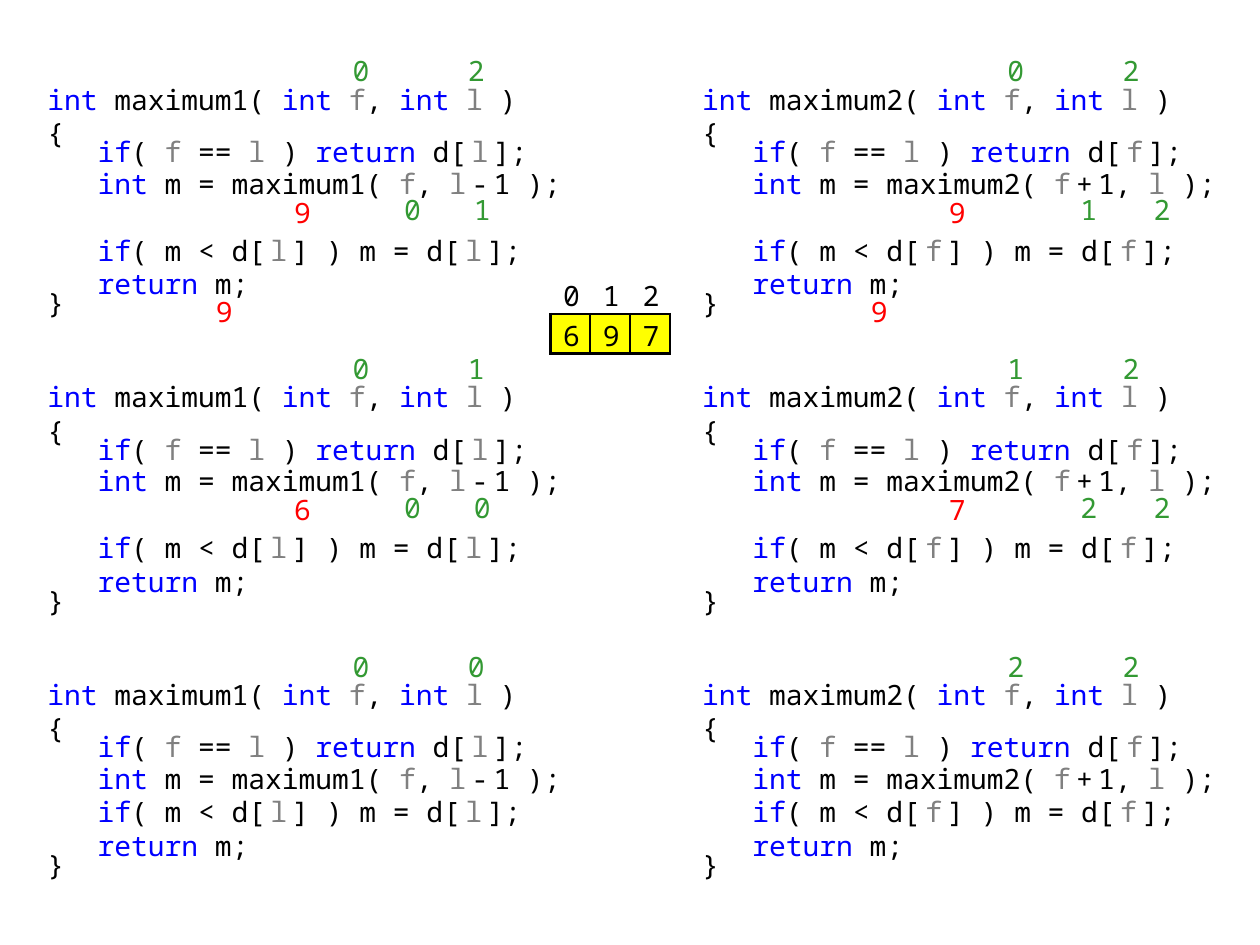
"""Build a slide tracing two recursive maximum functions over a small array."""
from typing import NamedTuple

from lxml import etree
from pptx import Presentation
from pptx import util as u
from pptx.dml.color import RGBColor
from pptx.enum import text
from pptx.oxml.ns import qn

BLACK = RGBColor(0x00, 0x00, 0x00)
BLUE = RGBColor(0x00, 0x00, 0xFF)
GRAY = RGBColor(0x80, 0x80, 0x80)
GREEN = RGBColor(0x33, 0x99, 0x33)
RED = RGBColor(0xFF, 0x00, 0x00)
YELLOW = RGBColor(0xFF, 0xFF, 0x00)
FONT = "Noto Sans Mono"
SIZE = u.Pt(16)
UNIT = 0.4
COLUMN_STEP, ROW_STEP = 33, 15


class Run(NamedTuple):
    """A coloured piece of code, optionally with wide letter spacing."""
    text: str
    color: RGBColor = BLACK
    wide: bool = False


class Spot(NamedTuple):
    """A place for a traced value, in grid units from its block."""
    col: int
    row: int
    width: int
    left: float
    right: float
    bottom: float
    color: RGBColor


class Function(NamedTuple):
    """One recursive function with its index, its call and its value spots."""
    name: str
    index: str
    arguments: list[Run]
    spots: list[Spot]


class Call(NamedTuple):
    """One level of recursion: its traced values and its height in rows."""
    values: str
    height: int


FIRST = Spot(15, -1, 3, 0.08, 0.1, 0.08, GREEN)
LAST = Spot(21, -1, 3, 0.02, 0.1, 0.08, GREEN)
RESULT = Spot(12, 6, 3, 0.1, 0.1, 0.04, RED)
ANSWER = Spot(8, 11, 3, 0.1, 0.08, 0.04, RED)

FUNCTIONS = [
    Function("maximum1", "l",
             [Run("f", GRAY), Run(", "), Run("l", GRAY, True), Run("-", BLACK, True), Run("1 );")],
             [FIRST, LAST, Spot(18, 6, 2, 0.1, 0.1, 0.08, GREEN),
              Spot(21, 6, 3, 0.1, 0.08, 0.08, GREEN), RESULT, ANSWER]),
    Function("maximum2", "f",
             [Run("f", GRAY, True), Run("+", BLACK, True), Run("1, "), Run("l", GRAY), Run(" );")],
             [FIRST, LAST, Spot(19, 6, 2, 0.1, 0.06, 0.08, GREEN),
              Spot(22, 6, 3, 0.1, 0, 0.08, GREEN), RESULT, ANSWER]),
]
CALLS = [
    [Call("020199", 12), Call("01006", 12), Call("00", 11)],
    [Call("021299", 12), Call("12227", 12), Call("22", 11)],
]
ARRAY = ["012", "697"]


def across(col: float) -> int:
    """Return the horizontal position of a grid column."""
    return u.Cm((col + 0.75) * UNIT)


def down(row: float) -> int:
    """Return the vertical position of a grid row."""
    return u.Cm((row + 0.82) * UNIT)


def span(units: float) -> int:
    """Return the length of a number of grid units."""
    return u.Cm(units * UNIT)


def add_run(paragraph, piece: Run) -> None:
    """Append one formatted run to a paragraph."""
    run = paragraph.add_run()
    run.text = piece.text
    run.font.name, run.font.size = FONT, SIZE
    run.font.color.rgb = piece.color
    if piece.wide:
        run.font._element.set("spc", "300")


def set_insets(frame, left: float, top: float, right: float, bottom: float) -> None:
    """Set the margins of a text frame or table cell in inches."""
    frame.margin_left, frame.margin_top = u.Inches(left), u.Inches(top)
    frame.margin_right, frame.margin_bottom = u.Inches(right), u.Inches(bottom)


def code_lines(function: Function, deepest: bool) -> list[list[Run]]:
    """Return the lines of code of a function as runs."""
    indent = Run("   ")
    element = [Run("[", BLACK, True), Run(function.index, GRAY, True)]
    lines = [
        [Run("int ", BLUE), Run(f"{function.name}( "), Run("int ", BLUE), Run("f", GRAY),
         Run(", "), Run("int ", BLUE), Run("l", GRAY), Run(" )")],
        [Run("{")],
        [indent, Run("if", BLUE), Run("( "), Run("f", GRAY), Run(" == "), Run("l", GRAY),
         Run(" ) "), Run("return", BLUE), Run(" d"), *element, Run("];")],
        [indent, Run("int", BLUE), Run(f" m = {function.name}( "), *function.arguments],
        [],
        [indent, Run("if", BLUE), Run("( m < d"), *element, Run("] ) m = d"), *element, Run("];")],
        [indent, Run("return", BLUE), Run(" m;")],
        [Run("}")],
    ]
    return [line for line in lines if line or not deepest]


def add_code(slide, function: Function, col: int, row: int, call: Call, deepest: bool) -> None:
    """Add the code of one call in a body placeholder."""
    slide.shapes.clone_placeholder(slide.slide_layout.placeholders[1])
    body = slide.shapes[-1]
    body.left, body.top = across(col), down(row)
    body.width, body.height = span(27), span(call.height)
    frame = body.text_frame
    frame.word_wrap, frame.auto_size = True, text.MSO_AUTO_SIZE.NONE
    frame.vertical_anchor = text.MSO_ANCHOR.TOP
    set_insets(frame, 0.1, 0.05, 0, 0.05)
    for number, line in enumerate(code_lines(function, deepest)):
        paragraph = frame.add_paragraph() if number else frame.paragraphs[0]
        tight = number == 2 or line == [Run("}")]
        paragraph.line_spacing = 0.5 if tight else 1.0
        paragraph.space_before = u.Pt(0)
        paragraph.font.size, paragraph.font.name = SIZE, FONT
        properties = paragraph._p.get_or_add_pPr()
        properties.set("marL", "0")
        properties.set("indent", "0")
        spacing = properties.find(qn("a:spcBef"))
        spacing.addnext(etree.Element(qn("a:buNone")))
        for piece in line:
            add_run(paragraph, piece)


def add_value(slide, spot: Spot, value: str, col: int, row: int) -> None:
    """Add one traced value next to the code."""
    label = slide.shapes.add_textbox(across(col + spot.col), down(row + spot.row),
                                     span(spot.width), span(2))
    frame = label.text_frame
    frame.word_wrap, frame.vertical_anchor = False, text.MSO_ANCHOR.MIDDLE
    set_insets(frame, spot.left, 0, spot.right, spot.bottom)
    frame.paragraphs[0].alignment = text.PP_ALIGN.CENTER
    add_run(frame.paragraphs[0], Run(value, spot.color))


def add_borders(cell) -> None:
    """Draw a black line on each side of a cell."""
    properties = cell._tc.get_or_add_tcPr()
    for place, side in enumerate(("lnL", "lnR", "lnT", "lnB")):
        line = etree.Element(qn(f"a:{side}"), w=str(u.Pt(1.5)))
        fill = etree.SubElement(line, qn("a:solidFill"))
        etree.SubElement(fill, qn("a:srgbClr"), val=str(BLACK))
        properties.insert(place, line)


def add_array(slide) -> None:
    """Add the array with its indices above its values."""
    table = slide.shapes.add_table(2, 3, across(27), down(13), span(6), span(4)).table
    table.first_row = table.horz_banding = False
    for r, digits in enumerate(ARRAY):
        for c, digit in enumerate(digits):
            cell = table.cell(r, c)
            set_insets(cell, 0.1, 0.02, 0.1, 0)
            cell.vertical_anchor = text.MSO_ANCHOR.MIDDLE
            paragraph = cell.text_frame.paragraphs[0]
            paragraph.alignment = text.PP_ALIGN.CENTER
            add_run(paragraph, Run(digit))
            if r:
                cell.fill.solid()
                cell.fill.fore_color.rgb = YELLOW
                add_borders(cell)
            else:
                cell.fill.background()


def main() -> None:
    """Build and save the slide."""
    deck = Presentation()
    deck.slide_width, deck.slide_height = u.Inches(10), u.Inches(7.5)
    slide = deck.slides.add_slide(deck.slide_layouts[1])
    for placeholder in list(slide.placeholders):
        placeholder.element.getparent().remove(placeholder.element)
    for side, (function, calls) in enumerate(zip(FUNCTIONS, CALLS)):
        for depth, call in enumerate(calls):
            col, row = 1 + side * COLUMN_STEP, 3 + depth * ROW_STEP
            add_code(slide, function, col, row, call, depth == len(calls) - 1)
            for spot, value in zip(function.spots, call.values):
                add_value(slide, spot, value, col, row)
    add_array(slide)
    deck.save("out.pptx")


if __name__ == "__main__":
    main()
